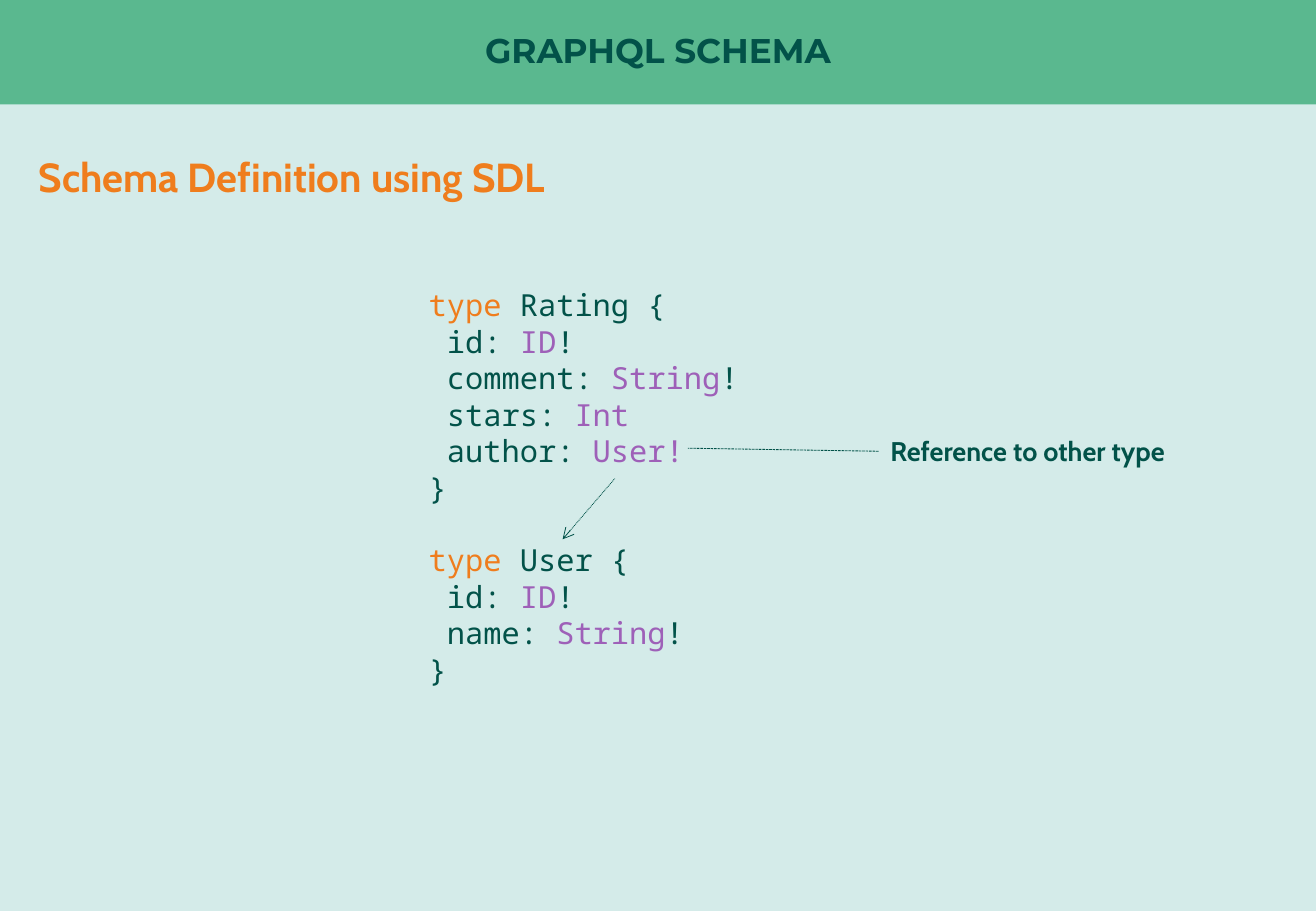
from pptx import Presentation
from pptx.dml.color import RGBColor
from pptx.enum.dml import MSO_LINE
from pptx.enum.shapes import MSO_CONNECTOR, MSO_SHAPE
from pptx.enum.text import MSO_ANCHOR, PP_ALIGN
from pptx.oxml.ns import qn
from pptx.util import Inches, Pt
from lxml import etree

MINT = RGBColor(0xD4, 0xEB, 0xE9)
GREEN = RGBColor(0x5A, 0xB8, 0x8F)
DARK = RGBColor(0x02, 0x52, 0x49)
ORANGE = RGBColor(0xEF, 0x7D, 0x1D)
PURPLE = RGBColor(0x9E, 0x60, 0xB8)

RECT = MSO_SHAPE.RECTANGLE
STRAIGHT = MSO_CONNECTOR.STRAIGHT
DOTS, DASHES = MSO_LINE.ROUND_DOT, MSO_LINE.SQUARE_DOT
MIDDLE = MSO_ANCHOR.MIDDLE
LEFT, CENTER = PP_ALIGN.LEFT, PP_ALIGN.CENTER

WIDTH, HEIGHT = 10.83, 7.5
CODE_LINE = Pt(21.6)

# Each type: its name, then its fields as (name, type, closing mark, mark colour)
TYPES = [
    ("Rating", [("id", "ID", "!", DARK), ("comment", "String", "!", DARK),
                ("stars", "Int", "", DARK), ("author", "User", "!", PURPLE)]),
    ("User", [("id", "ID", "!", DARK), ("name", "String", "!", DARK)]),
]


def write(para, text, font="Cabin", size=18, color=DARK, bold=False):
    run = para.add_run()
    run.text = text
    run.font.name = font
    run.font.size = Pt(size)
    run.font.bold = bold
    run.font.color.rgb = color


class Deck:
    def __init__(self):
        self.prs = Presentation()
        self.prs.slide_width = Inches(WIDTH)
        self.prs.slide_height = Inches(HEIGHT)
        self.slide = self.prs.slides.add_slide(self.prs.slide_layouts[6])
        fill = self.slide.background.fill
        fill.solid()
        fill.fore_color.rgb = MINT

    def banner(self, text, high):
        bar = self.slide.shapes.add_shape(
            RECT, 0, 0, Inches(WIDTH), Inches(high))
        bar.shadow.inherit = False
        bar.fill.solid()
        bar.fill.fore_color.rgb = GREEN
        bar.line.fill.background()
        frame = bar.text_frame
        frame.vertical_anchor = MIDDLE
        frame.margin_left = frame.margin_right = 0
        frame.margin_top = frame.margin_bottom = 0
        para = frame.paragraphs[0]
        para.alignment = CENTER
        para.line_spacing = 0.9
        write(para, text, font="Montserrat", size=20.3, bold=True)

    def box(self, x, y, wide, high):
        box = self.slide.shapes.add_textbox(
            Inches(x), Inches(y), Inches(wide), Inches(high))
        box.text_frame.word_wrap = True
        return box

    def label(self, text, x, y, wide, high, spacing=1.0, **style):
        box = self.box(x, y, wide, high)
        para = box.text_frame.paragraphs[0]
        para.line_spacing = spacing
        write(para, text, bold=True, **style)
        return box

    def code(self, types, x, y, wide, high):
        """Write the types as schema code, one paragraph to a line."""
        frame = self.box(x, y, wide, high).text_frame
        first = True
        for name, fields in types:
            lines = [[("type", ORANGE), (f" {name} {{", DARK)]]
            for field, kind, mark, color in fields:
                lines.append([(f" {field}: ", DARK), (kind, PURPLE),
                              (mark, color)])
            lines.append([("}", DARK)])
            for row, parts in enumerate(lines):
                para = frame.paragraphs[0] if first else frame.add_paragraph()
                para.alignment = LEFT
                para.line_spacing = CODE_LINE
                if row == 0 and not first:
                    para.space_before = CODE_LINE
                first = False
                for text, color in parts:
                    if text:
                        write(para, text, font="Noto Sans Mono", color=color)

    def line(self, start, end, dash, arrow=False):
        link = self.slide.shapes.add_connector(
            STRAIGHT, *(Inches(n) for n in start + end))
        link.line.color.rgb = DARK
        link.line.width = Pt(0.5)
        link.line.dash_style = dash
        props = link._element.spPr
        if arrow:
            head = etree.SubElement(props.find(qn("a:ln")), qn("a:headEnd"))
            head.set("type", "arrow")
        etree.SubElement(props, qn("a:effectLst"))
        return link


def main():
    deck = Deck()
    deck.banner("GRAPHQL SCHEMA", 0.86)
    deck.label("Schema Definition using SDL", 0.22, 1.12, 10.39, 0.57,
               spacing=1.2, size=24, color=ORANGE)
    deck.code(TYPES, 3.43, 2.31, 4.47, 4.34)
    deck.line((4.63, 4.44), (5.06, 3.94), DOTS, arrow=True)
    note = deck.label("Reference to other type", 7.23, 3.53, 3.2, 0.37,
                      size=16)
    link = deck.line((7.23, 3.71), (5.66, 3.69), DASHES)
    link.begin_connect(note, 1)
    deck.prs.save("out.pptx")


if __name__ == "__main__":
    main()
